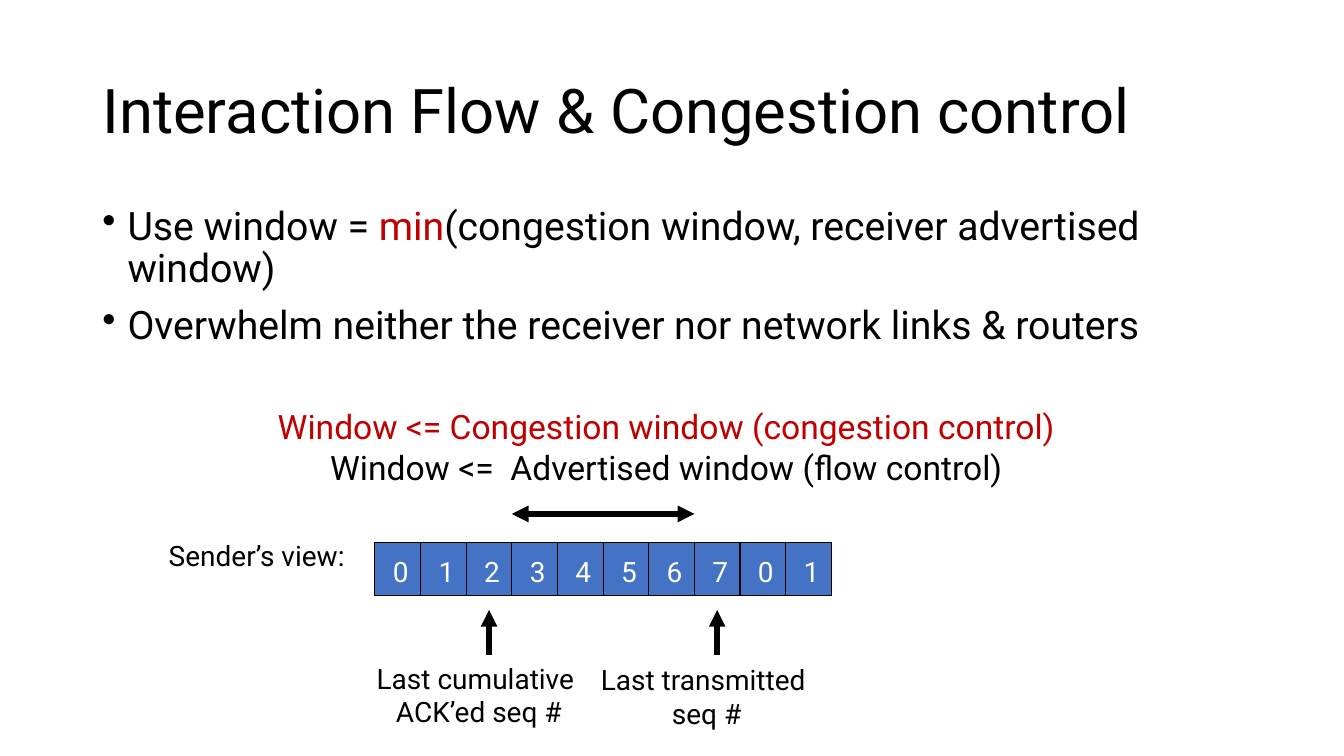
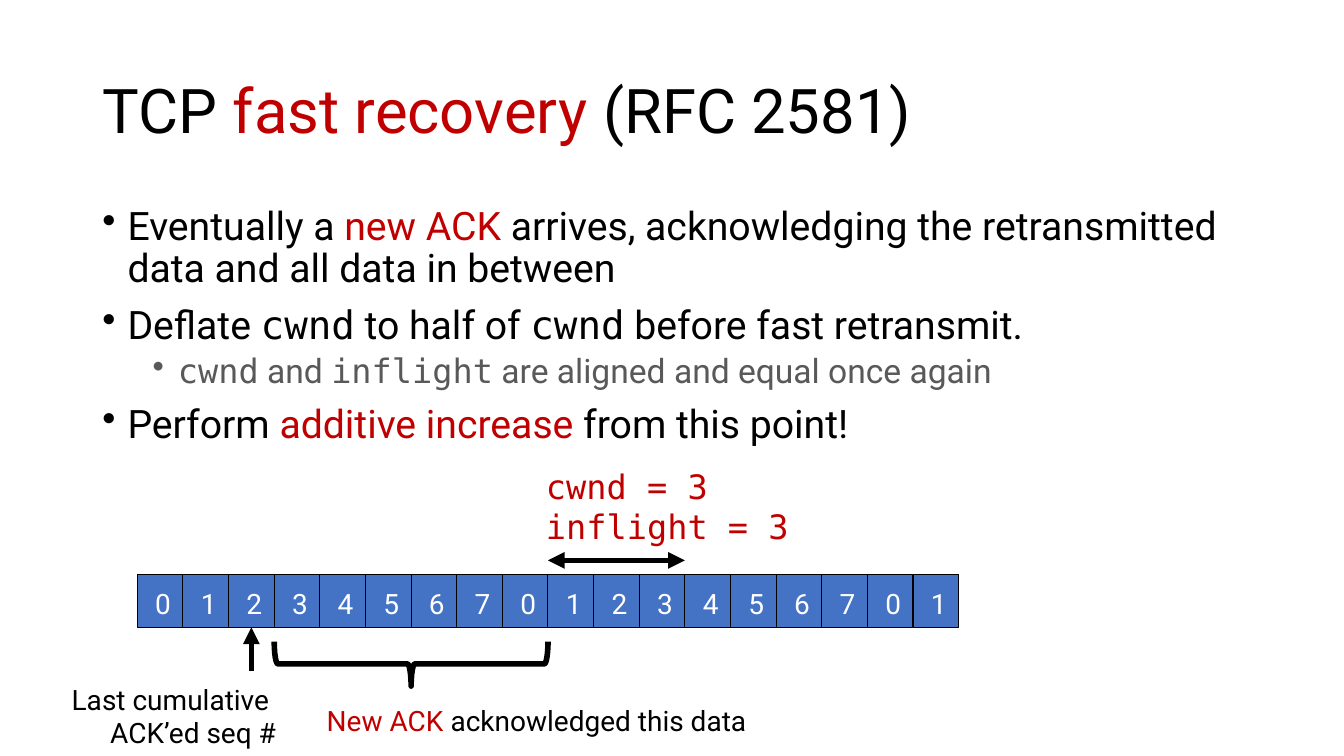
import lxml.etree
import pptx
import pptx.dml.color
import pptx.enum.shapes
import pptx.enum.text
import pptx.oxml.ns
import pptx.util

Cm = pptx.util.Cm
Pt = pptx.util.Pt
RGBColor = pptx.dml.color.RGBColor
Shape = pptx.enum.shapes.MSO_SHAPE
Align = pptx.enum.text.PP_ALIGN
Anchor = pptx.enum.text.MSO_ANCHOR
qn = pptx.oxml.ns.qn

BLACK = RGBColor(0x00, 0x00, 0x00)
WHITE = RGBColor(0xFF, 0xFF, 0xFF)
RED = RGBColor(0xC0, 0x00, 0x00)
GREY = RGBColor(0x59, 0x59, 0x59)
BLUE = RGBColor(0x44, 0x72, 0xC4)

SANS = "Roboto"
MONO = "DejaVu Sans Mono"
CELL_WIDTH = Cm(1.15)
CELL_HEIGHT = Cm(1.33)
SEQUENCE_SPACE = 8


def red(text):
    return text, RED, SANS


def code(text, color=None):
    return text, color, MONO


class Deck:
    def __init__(self):
        self.presentation = pptx.Presentation()
        self.presentation.slide_width = Cm(33.87)
        self.presentation.slide_height = Cm(19.05)
        self.slide = None

    def add_runs(self, paragraph, parts, size, color=BLACK):
        for part in parts:
            text, part_color, font = (part, None, SANS) if isinstance(part, str) else part
            run = paragraph.add_run()
            run.text = text
            run.font.size = Pt(size)
            run.font.name = font
            run.font.color.rgb = part_color or color

    def start(self, *title_parts):
        self.slide = self.presentation.slides.add_slide(self.presentation.slide_layouts[5])
        title = self.slide.shapes.title
        title.left, title.top = Cm(2.33), Cm(1.01)
        title.width, title.height = Cm(29.21), Cm(3.68)
        title.text_frame.vertical_anchor = Anchor.MIDDLE
        heading = title.text_frame.paragraphs[0]
        heading.alignment = Align.LEFT
        heading.line_spacing = 0.9
        self.add_runs(heading, title_parts, 44)

    def text_frame(self, left, top, width, height):
        frame = self.slide.shapes.add_textbox(left, top, width, height).text_frame
        frame.word_wrap = True
        return frame

    def bullets(self, *items):
        frame = self.text_frame(Cm(2.33), Cm(5.08), Cm(29.21), Cm(12.1))
        for index, (level, parts) in enumerate(items):
            item = frame.add_paragraph() if index else frame.paragraphs[0]
            item.level = level
            properties = item._p.get_or_add_pPr()
            properties.set("marL", str(Pt(18 + 36 * level)))
            properties.set("indent", str(-Pt(18)))
            lxml.etree.SubElement(properties, qn("a:buChar")).set("char", "•")
            item.line_spacing = 0.9
            item.space_before = Pt((5 if level else 10) if index else 0)
            self.add_runs(item, parts, 24 if level else 28, GREY if level else BLACK)

    def label(self, left, top, width, height, *lines, size=20, align=Align.CENTER):
        frame = self.text_frame(left, top, width, height)
        for index, parts in enumerate(lines):
            line = frame.add_paragraph() if index else frame.paragraphs[0]
            line.alignment = align
            self.add_runs(line, parts, size)

    def sequence(self, left, top, count):
        cells = []
        for index in range(count):
            cell = self.slide.shapes.add_shape(
                Shape.RECTANGLE, left + index * CELL_WIDTH, top, CELL_WIDTH, CELL_HEIGHT)
            cell.shadow.inherit = False
            cell.fill.solid()
            cell.fill.fore_color.rgb = BLUE
            cell.line.color.rgb = BLACK
            cell.line.width = Pt(0.75)
            frame = cell.text_frame
            frame.margin_left, frame.margin_right = Cm(0.15), 0
            frame.margin_top, frame.margin_bottom = Cm(0.1), 0
            frame.vertical_anchor = Anchor.MIDDLE
            number = frame.paragraphs[0]
            number.alignment = Align.CENTER
            self.add_runs(number, [str(index % SEQUENCE_SPACE)], 20, WHITE)
            cells.append(cell)
        return cells

    def arrow(self, start, end, both_ends=False):
        arrow = self.slide.shapes.add_connector(
            pptx.enum.shapes.MSO_CONNECTOR.STRAIGHT, *start, *end)
        arrow.line.color.rgb = BLACK
        arrow.line.width = Pt(4)
        properties = arrow._element.spPr
        outline = properties.get_or_add_ln()
        for tag in ["a:headEnd", "a:tailEnd"] if both_ends else ["a:tailEnd"]:
            lxml.etree.SubElement(outline, qn(tag)).set("type", "triangle")
        lxml.etree.SubElement(properties, qn("a:effectLst"))
        return arrow

    def window(self, first, last, y):
        self.arrow((first.left, y), (last.left + last.width, y), both_ends=True)

    def pointer(self, cell, start_y, end_y):
        middle = cell.left + cell.width // 2
        return self.arrow((middle, start_y), (middle, end_y))

    def brace_below(self, first, last, top, depth):
        span = last.left + last.width - first.left
        brace = self.slide.shapes.add_shape(
            Shape.RIGHT_BRACE, first.left + (span - depth) // 2,
            top + (depth - span) // 2, depth, span)
        brace.rotation = 90
        brace.shadow.inherit = False
        brace.fill.background()
        brace.line.color.rgb = BLACK
        brace.line.width = Pt(4)


def flow_and_congestion(deck):
    deck.start("Interaction Flow & Congestion control")
    deck.bullets(
        (0, ["Use window = ", red("min"), "(congestion window, receiver advertised window)"]),
        (0, ["Overwhelm neither the receiver nor network links & routers"]))
    cells = deck.sequence(Cm(9.45), Cm(13.67), 10)
    # The window reaches from the first unacknowledged cell to the last sent one.
    deck.window(cells[3], cells[6], Cm(12.95))
    for cell in (cells[2], cells[7]):
        deck.pointer(cell, Cm(16.5), Cm(15.37))
    deck.label(Cm(8.92), Cm(16.54), Cm(6.3), Cm(2.1),
               ["Last cumulative "], ["ACK’ed seq #"])
    deck.label(Cm(14.66), Cm(16.58), Cm(6.3), Cm(1.96),
               ["Last transmitted "], ["seq #"])
    deck.label(Cm(3.89), Cm(13.44), Cm(5.05), Cm(1.96),
               ["Sender’s view:"], align=Align.RIGHT)
    deck.label(Cm(6.07), Cm(10.11), Cm(21.44), Cm(2.31),
               [red("Window <= Congestion window (congestion control)")],
               ["Window <=  Advertised window (flow control)"], size=24)


def fast_recovery(deck):
    deck.start("TCP ", red("fast recovery"), " (RFC 2581)")
    deck.bullets(
        (0, ["Eventually a ", red("new ACK "),
             "arrives, acknowledging the retransmitted data and all data in between"]),
        (0, ["Deflate ", code("cwnd"), " to half of ", code("cwnd"),
             " before fast retransmit."]),
        (1, [code("cwnd"), " and ", code("inflight"),
             " are aligned and equal once again"]),
        (0, ["Perform ", red("additive increase "), "from this point!"]))
    deck.label(Cm(13.51), Cm(11.61), Cm(6.83), Cm(2.31),
               [code("cwnd = 3", RED)], [code("inflight = 3", RED)],
               size=24, align=Align.LEFT)
    cells = deck.sequence(Cm(3.46), Cm(14.48), 18)
    deck.window(cells[9], cells[11], Cm(14.12))
    deck.brace_below(cells[3], cells[8], Cm(16.17), Cm(1.12))
    deck.label(Cm(7.39), Cm(17.6), Cm(12.27), Cm(1.12),
               [red("New ACK "), "acknowledged this data"])
    deck.label(Cm(0.91), Cm(17.07), Cm(6.3), Cm(1.96),
               ["Last cumulative "], ["ACK’ed seq #"], align=Align.RIGHT)
    acked = cells[2]
    deck.pointer(acked, Cm(16.9), acked.top + acked.height).end_connect(acked, 2)


def main():
    deck = Deck()
    flow_and_congestion(deck)
    fast_recovery(deck)
    deck.presentation.save("out.pptx")


if __name__ == "__main__":
    main()
